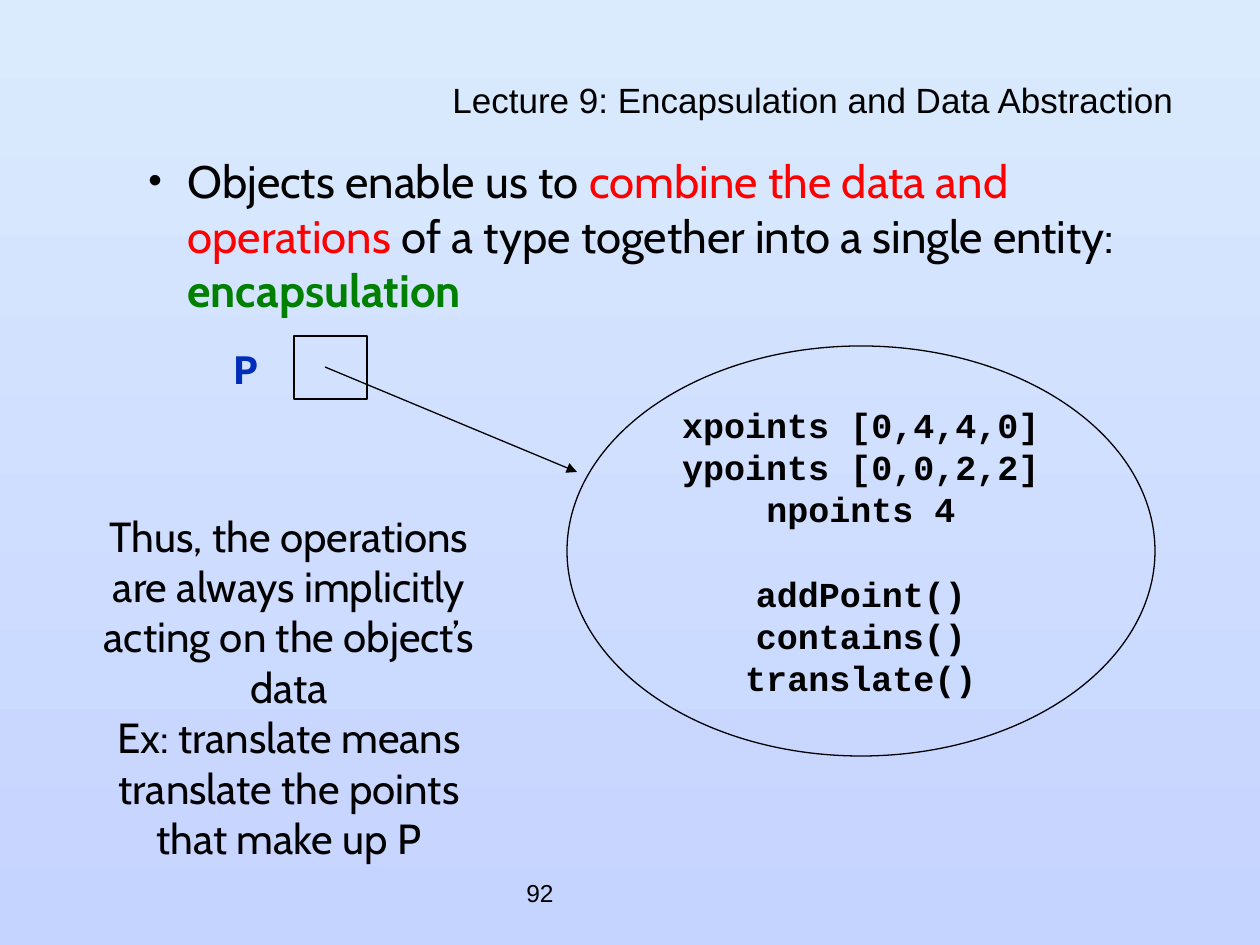
from lxml import etree
from pptx import Presentation, util as u
from pptx.dml.color import RGBColor
from pptx.enum import shapes, text
from pptx.oxml import ns

PX = 914400 / 126
BLACK = "000000"


def color(hex_text):
    return RGBColor.from_string(hex_text)


def write(frame, paragraphs, font, size, align, anchor=text.MSO_ANCHOR.MIDDLE,
          wrap=True, hex_color=BLACK, bold=False):
    frame.text = "\n".join(paragraphs)
    frame.word_wrap = wrap
    frame.vertical_anchor = anchor
    for paragraph in frame.paragraphs:
        paragraph.alignment = align
        for run in paragraph.runs:
            run.font.name = font
            run.font.size = u.Pt(size)
            run.font.bold = bold
            run.font.color.rgb = color(hex_color)


prs = Presentation()
prs.slide_width, prs.slide_height = round(1260 * PX), round(945 * PX)
slide = prs.slides.add_slide(prs.slide_layouts[6])
LEFT, CENTER, RIGHT = text.PP_ALIGN.LEFT, text.PP_ALIGN.CENTER, text.PP_ALIGN.RIGHT

# Background: light blue at the top, deeper at the bottom
background = slide.background.fill
background.gradient()
background.gradient_angle = 270
for stop, shade in zip(background.gradient_stops, ("DAEBFE", "C5D3FF")):
    stop.color.rgb = color(shade)

# Text areas
areas = {
    "number": (514, 861, 262, 63),
    "title": (73, 84, 1113, 42),
    "definition": (73, 147, 1113, 693),
    "variable": (199, 336, 94, 63),
    "remark": (84, 504, 410, 365),
}
frames = {
    part: slide.shapes.add_textbox(*(round(v * PX) for v in area)).text_frame
    for part, area in areas.items()
}
write(frames["number"], ["92"], "Arial", 14, LEFT, wrap=False)
write(frames["title"], ["Lecture 9: Encapsulation and Data Abstraction"],
      "Arial", 20, RIGHT)
frames["title"].paragraphs[0].line_spacing = 0.7
write(frames["variable"], ["P"], "Courier New", 24, CENTER,
      wrap=False, hex_color="002DB9", bold=True)
write(frames["remark"],
      ["Thus, the operations are always implicitly acting on the object’s data",
       "Ex: translate means translate the points that make up P"],
      "Cabin", 24, CENTER)
frames["remark"].auto_size = text.MSO_AUTO_SIZE.SHAPE_TO_FIT_TEXT

# Definition bullet with coloured key phrases
frames["definition"].word_wrap = True
definition = frames["definition"].paragraphs[0]
props = definition._p.get_or_add_pPr()
props.set("marL", str(u.Inches(0.81)))
props.set("indent", str(u.Inches(-0.31)))
bullet_color = etree.SubElement(props, ns.qn("a:buClr"))
etree.SubElement(bullet_color, ns.qn("a:srgbClr"), val=BLACK)
etree.SubElement(props, ns.qn("a:buSzPct"), val="85000")
etree.SubElement(props, ns.qn("a:buFont"), typeface="Arial")
etree.SubElement(props, ns.qn("a:buChar"), char="•")
for phrase, shade, bold in (
    ("Objects enable us to ", BLACK, False),
    ("combine the data and operations", "FF0000", False),
    (" of a type together into a single entity: ", BLACK, False),
    ("encapsulation", "008000", True),
):
    run = definition.add_run()
    run.text = phrase
    run.font.name = "Cabin"
    run.font.size = u.Pt(26)
    run.font.bold = bold
    run.font.color.rgb = color(shade)

# Reference cell and the object it points to
outlines = []
for preset, area in (
    (shapes.MSO_SHAPE.RECTANGLE, (294, 336, 73, 63)),
    (shapes.MSO_SHAPE.OVAL, (567, 346, 588, 410)),
):
    outline = slide.shapes.add_shape(preset, *(round(v * PX) for v in area))
    outline.shadow.inherit = False
    outline.fill.background()
    outline.line.color.rgb = color(BLACK)
    outline.line.width = u.Pt(0.75)
    outlines.append(outline)
cell, polygon = outlines
write(polygon.text_frame,
      ["xpoints [0,4,4,0]", "ypoints [0,0,2,2]", "npoints 4",
       "addPoint()", "contains()", "translate()"],
      "Courier New", 20, CENTER, wrap=False, bold=True)
polygon.text_frame.paragraphs[3].space_before = u.Pt(24)  # data above, operations below

# Arrow from the reference to the object
pointer = slide.shapes.add_connector(
    shapes.MSO_CONNECTOR.STRAIGHT, *(round(v * PX) for v in (325, 367, 577, 472)))
pointer.line.color.rgb = color(BLACK)
pointer.line.width = u.Pt(0.75)
etree.SubElement(pointer.line._get_or_add_ln(), ns.qn("a:tailEnd"), type="triangle")
etree.SubElement(pointer._element.spPr, ns.qn("a:effectLst"))

prs.save("out.pptx")
